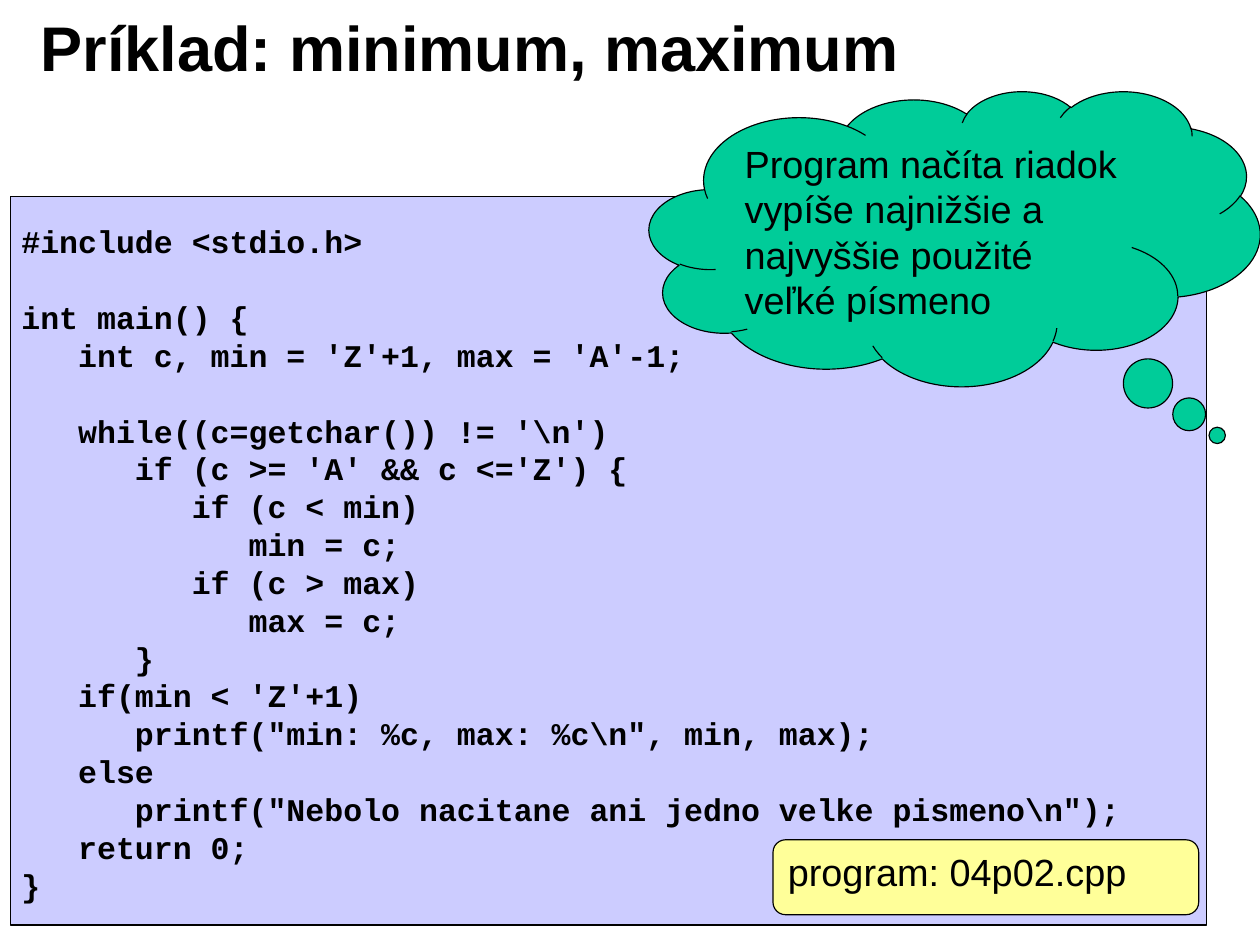
from dataclasses import dataclass

from pptx import Presentation
from pptx.dml.color import RGBColor
from pptx.enum.shapes import MSO_SHAPE
from pptx.enum.text import MSO_ANCHOR, PP_ALIGN
from pptx.slide import Slide
from pptx.text.text import TextFrame
from pptx.util import Inches, Pt

RECTANGLE = MSO_SHAPE.RECTANGLE
ROUNDED = MSO_SHAPE.ROUNDED_RECTANGLE
CLOUD = MSO_SHAPE.CLOUD_CALLOUT
TOP, MIDDLE = MSO_ANCHOR.TOP, MSO_ANCHOR.MIDDLE
LEFT = PP_ALIGN.LEFT
TITLE_ONLY = 5

COLOURS = {
    "ink": "000000",
    "code panel": "CCCCFF",
    "file label": "FFFF99",
    "thought": "00CC99",
}

CODE = r"""#include <stdio.h>

int main() {
   int c, min = 'Z'+1, max = 'A'-1;

   while((c=getchar()) != '\n')
      if (c >= 'A' && c <='Z') {
         if (c < min)
            min = c;
         if (c > max)
            max = c;
      }
   if(min < 'Z'+1)
      printf("min: %c, max: %c\n", min, max);
   else
      printf("Nebolo nacitane ani jedno velke pismeno\n");
   return 0;
}"""


@dataclass(frozen=True)
class Box:
    left: float
    top: float
    width: float
    height: float

    def lengths(self) -> list[Inches]:
        return [Inches(n) for n in (self.left, self.top, self.width, self.height)]


@dataclass(frozen=True)
class Panel:
    kind: MSO_SHAPE
    box: Box
    colour: str
    text: str = ""
    anchor: MSO_ANCHOR = TOP
    adjustments: tuple[float, ...] = ()


CODE_PANEL = Panel(RECTANGLE, Box(0.09, 1.73, 10.54, 6.42), "code panel")
CALLOUTS = (
    Panel(ROUNDED, Box(6.81, 7.4, 3.75, 0.66), "file label",
          "program: 04p02.cpp", TOP, (0.167,)),
    Panel(CLOUD, Box(5.72, 0.8, 5.38, 2.6), "thought",
          "Program načíta riadok vypíše najnižšie a najvyššie použité veľké písmeno",
          MIDDLE, (0.43, 0.668)),
)


def colour(name: str) -> RGBColor:
    return RGBColor.from_string(COLOURS[name])


def write(frame: TextFrame, text: str, font: str, size: float,
          bold: bool = False, anchor: MSO_ANCHOR = TOP, wrap: bool = True) -> None:
    frame.word_wrap = wrap
    frame.vertical_anchor = anchor
    frame.text = text
    for para in frame.paragraphs:
        para.alignment = LEFT
        para.font.name = font
        para.font.size = Pt(size)
        para.font.bold = bold
        para.font.color.rgb = colour("ink")


def draw_panel(page: Slide, panel: Panel) -> None:
    shape = page.shapes.add_shape(panel.kind, *panel.box.lengths())
    shape.shadow.inherit = False
    shape.fill.solid()
    shape.fill.fore_color.rgb = colour(panel.colour)
    shape.line.color.rgb = colour("ink")
    shape.line.width = Pt(0.75)
    for index, value in enumerate(panel.adjustments):
        shape.adjustments[index] = value
    if panel.text:
        write(shape.text_frame, panel.text, "Arial", 24, anchor=panel.anchor)


def draw_title(page: Slide, text: str, box: Box) -> None:
    title = page.shapes.title
    title.left, title.top, title.width, title.height = box.lengths()
    frame = title.text_frame
    frame.margin_left = frame.margin_right = Inches(0.11)
    frame.margin_top = frame.margin_bottom = Inches(0.06)
    write(frame, text, "Arial", 40, bold=True, anchor=MIDDLE)


def draw_code(page: Slide, code: str, box: Box) -> None:
    listing = page.shapes.add_textbox(*box.lengths())
    write(listing.text_frame, code, "Courier New", 20, bold=True, wrap=False)


def main() -> None:
    deck = Presentation()
    deck.slide_width, deck.slide_height = Inches(11.1), Inches(8.3)
    page = deck.slides.add_slide(deck.slide_layouts[TITLE_ONLY])
    draw_title(page, "Príklad: minimum, maximum", Box(0.25, -0.1, 8.92, 1.02))
    draw_panel(page, CODE_PANEL)
    draw_code(page, CODE, Box(0.09, 1.91, 9.96, 6.16))
    for callout in CALLOUTS:
        draw_panel(page, callout)
    deck.save("out.pptx")


if __name__ == "__main__":
    main()
